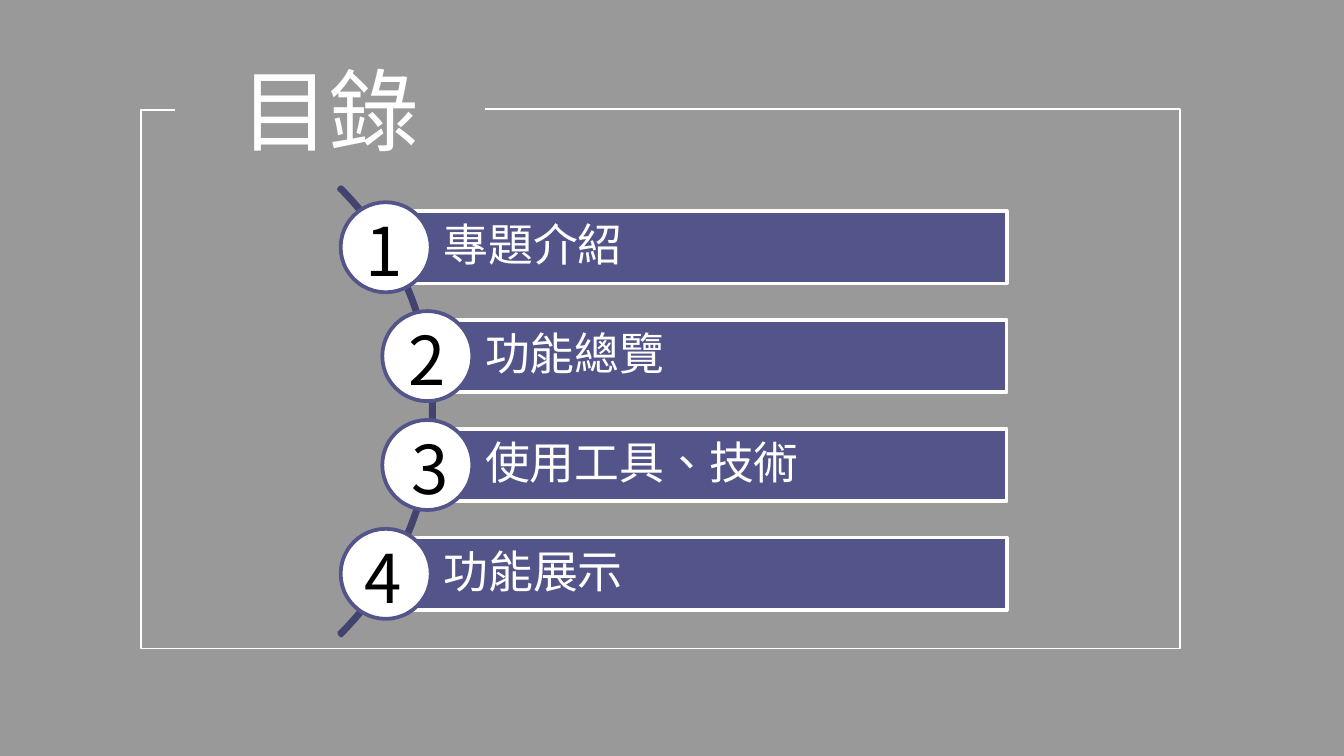
from dataclasses import dataclass

from lxml.etree import SubElement
from pptx import Presentation
from pptx.dml.color import RGBColor
from pptx.enum.lang import MSO_LANGUAGE_ID
from pptx.enum.shapes import MSO_CONNECTOR, MSO_SHAPE
from pptx.enum.text import MSO_ANCHOR, MSO_AUTO_SIZE, PP_ALIGN
from pptx.oxml.ns import qn
from pptx.util import Inches, Pt


@dataclass(frozen=True)
class Theme:
    black: RGBColor = RGBColor(0x00, 0x00, 0x00)
    white: RGBColor = RGBColor(0xFF, 0xFF, 0xFF)
    accent: RGBColor = RGBColor(0x53, 0x54, 0x8A)
    arc: RGBColor = RGBColor(0x42, 0x43, 0x6F)
    body_font: str = "Calibri"
    cjk_font: str = "Noto Sans CJK SC"
    title_size: int = 48
    number_size: int = 36
    item_size: int = 24


theme = Theme()


def add_preset(preset, box, fill=None, line=None):
    shape = slide.shapes.add_shape(preset, *map(Inches, box))
    shape.shadow.inherit = False
    if fill is None:
        shape.fill.background()
    else:
        shape.fill.solid()
        shape.fill.fore_color.rgb = fill
    if line is None:
        shape.line.fill.background()
    else:
        shape.line.color.rgb = line
        shape.line.width = Pt(2)
    return shape


def write(shape, text, size, color, font, align=PP_ALIGN.CENTER):
    """Put one run in the shape, with the CJK font for East Asian letters."""
    shape.text_frame.word_wrap = True
    paragraph = shape.text_frame.paragraphs[0]
    paragraph.alignment = align
    run = paragraph.add_run()
    run.text = text
    run.font.size = Pt(size)
    run.font.color.rgb = color
    run.font.name = font
    run.font.language_id = MSO_LANGUAGE_ID.TRADITIONAL_CHINESE
    SubElement(run.font._element, qn("a:ea"), typeface=theme.cjk_font)
    return paragraph


prs = Presentation()
prs.slide_width = Inches(10)
prs.slide_height = prs.slide_width * 9 // 16
slide = prs.slides.add_slide(prs.slide_layouts[6])

# Translucent veil over the white background
veil = add_preset(
    MSO_SHAPE.RECTANGLE, (0, 0, 10, prs.slide_height.inches if hasattr(prs.slide_height, "inches") else 5.62),
    theme.black)
veil.height = prs.slide_height
veil_color = veil.fill._xPr.find(".//" + qn("a:srgbClr"))
SubElement(veil_color, qn("a:alpha"), val="40000")

# Title
title = slide.shapes.add_textbox(Inches(1.3), Inches(0.36), Inches(2.31), Inches(0.91))
write(title, "目錄", theme.title_size, theme.white, theme.cjk_font)
title.text_frame.auto_size = MSO_AUTO_SIZE.SHAPE_TO_FIT_TEXT

# Frame that leaves a gap for the title
start_x, start_y, end_x, end_y = 3.61, 0.81, 1.3, 0.82
right, bottom, left = 8.78, 4.89, 1.05
frame = slide.shapes.add_connector(
    MSO_CONNECTOR.ELBOW, *map(Inches, (start_x, start_y, end_x, end_y)))
frame.line.color.rgb = theme.white
frame.line.width = Pt(0.75)
SubElement(frame._element.spPr, qn("a:effectLst"))
geometry = frame._element.spPr.find(qn("a:prstGeom"))
geometry.set("prst", "bentConnector5")
bends = geometry.find(qn("a:avLst"))
if bends is None:
    bends = SubElement(geometry, qn("a:avLst"))
bend_ratios = (
    (right - start_x) / (end_x - start_x),
    (bottom - start_y) / (end_y - start_y),
    (left - start_x) / (end_x - start_x),
)
for number, ratio in enumerate(bend_ratios, 1):
    SubElement(bends, qn("a:gd"), name=f"adj{number}", fmla=f"val {round(ratio * 100000)}")

# Arc behind the numbered items
arc = add_preset(MSO_SHAPE.BLOCK_ARC, (-1.49, 0.7, 4.72, 4.72), line=theme.arc)
for index, value in enumerate((189, 27, 0.005)):
    arc.adjustments[index] = value

# Contents: bar, circle and number for each entry
bar_right, bar_height, circle_size = 7.49, 0.54, 0.67
first_center, pitch = 1.84, 0.81
entries = [  # text, circle center, number center
    ("專題介紹", 2.87, 2.86),
    ("功能總覽", 3.18, 3.18),
    ("使用工具、技術", 3.18, 3.2),
    ("功能展示", 2.87, 2.85),
]
for row, (text, center_x, number_x) in enumerate(entries):
    center_y = first_center + row * pitch

    bar = add_preset(
        MSO_SHAPE.RECTANGLE,
        (center_x, center_y - bar_height / 2, bar_right - center_x, bar_height),
        theme.accent, theme.white)
    label = bar.text_frame
    label.vertical_anchor = MSO_ANCHOR.MIDDLE
    label.margin_left = Inches(0.43)
    label.margin_top = label.margin_right = label.margin_bottom = Inches(0.07)
    paragraph = write(bar, text, theme.item_size, theme.white, theme.body_font, PP_ALIGN.LEFT)
    paragraph.line_spacing = 0.9

    add_preset(
        MSO_SHAPE.OVAL,
        (center_x - circle_size / 2, center_y - circle_size / 2, circle_size, circle_size),
        theme.white, theme.accent)

    number_box = slide.shapes.add_textbox(
        Inches(number_x - 0.59), Inches(center_y - 0.33), Inches(1.18), Inches(0.71))
    write(number_box, str(row + 1), theme.number_size, theme.black, theme.cjk_font)
    number_box.text_frame.auto_size = MSO_AUTO_SIZE.SHAPE_TO_FIT_TEXT

prs.save("out.pptx")
